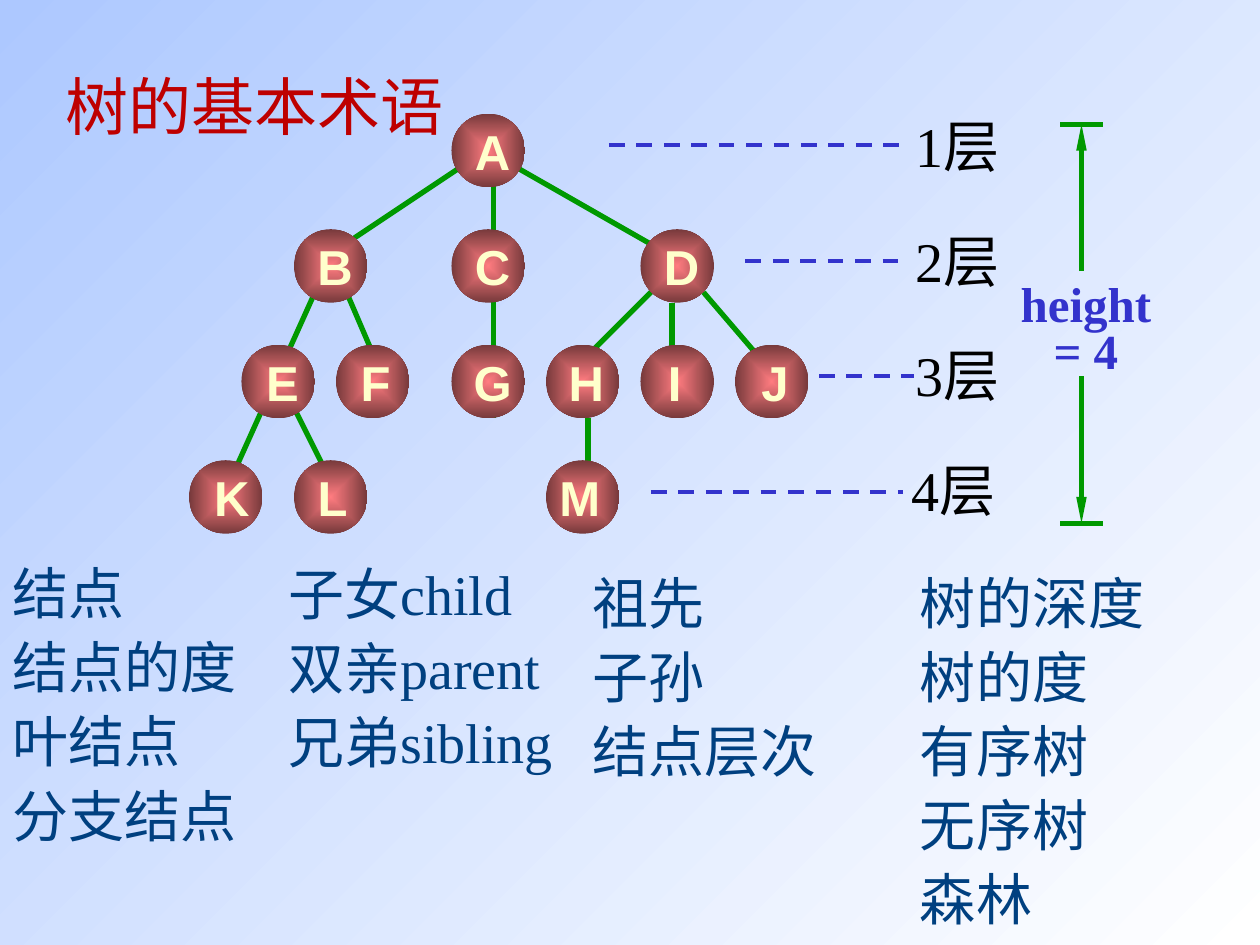
from lxml.etree import SubElement
from pptx import Presentation
from pptx.dml.color import RGBColor
from pptx.enum.dml import MSO_LINE
from pptx.enum.shapes import MSO_CONNECTOR, MSO_SHAPE
from pptx.enum.text import MSO_ANCHOR, MSO_AUTO_SIZE, PP_ALIGN
from pptx.oxml.ns import qn
from pptx.util import Pt

COLORS = {
    "sky": "ADC8FF", "white": "FFFFFF", "title": "BE0000", "edge": "009900",
    "level": "3333CC", "node": "FF7C80", "node_rim": "76393B",
    "letter": "FFFFCC", "black": "000000", "term": "004080",
}
SERIF, SANS, CHINESE = "Times New Roman", "Arial", "Noto Sans CJK SC"

NODE_SIZE, FIRST_ROW, ROW_STEP = 42, 65, 66
# Each row: letter, left of the node, left and width of its letter
NODE_ROWS = [
    [("A", 258, 264, 35)],
    [("B", 168, 174, 35), ("C", 258, 264, 35), ("D", 366, 372, 35)],
    [("E", 138, 145, 33), ("F", 192, 199, 31), ("G", 258, 263.5, 36),
     ("H", 312, 317.5, 35), ("I", 366, 374.5, 22), ("J", 420, 428, 29)],
    [("K", 108, 115, 35), ("L", 168, 174, 32), ("M", 312, 312.5, 37)],
]
EDGES = [
    (402, 167, 438, 209), (372, 167, 336, 203), (384, 173, 384, 203),
    (336, 239, 336, 275), (294, 95, 378, 143), (264, 95, 192, 143),
    (282, 101, 282, 239), (198, 167, 216, 209), (168, 233, 186, 269),
    (180, 167, 126, 287),
]
# Dash start, dash end, left of the label
LEVELS = [(348, 516, 512), (426, 516, 512), (468, 522, 512), (372, 516, 510)]
TERMS = [
    ((0, 315.5, 205, 168), ["结点", "结点的度", "叶结点", "分支结点"]),
    ((157.5, 316, 177, 172), ["子女child", "双亲parent", "兄弟sibling"]),
    ((331.5, 321, 180, 139), ["祖先", "子孙", "结点层次"]),
    ((518.5, 321, 174, 138),
     [[("树的深", CHINESE), ("度", SERIF)], "树的度", "有序树", "无序树",
      [("森林", CHINESE)]]),
]


def color(name):
    return RGBColor.from_string(COLORS[name])


def gradient(fill, *names):
    fill.gradient()
    for stop, name in zip(fill.gradient_stops, names):
        stop.color.rgb = color(name)


class SlideBuilder:
    def __init__(self, page):
        self.page = page

    def background(self):
        fill = self.page.background.fill
        gradient(fill, "sky", "white")
        fill.gradient_angle = 315

    def span(self, para, text, size, ink, face=SERIF, bold=False):
        span = para.add_run()
        span.text = text
        font = span.font
        font.size, font.bold, font.name = Pt(size), bold, face
        font.color.rgb = color(ink)

    def place(self, shape, frame):
        shape.left, shape.top, shape.width, shape.height = map(Pt, frame)

    def title(self, text, frame):
        title = self.page.shapes.title
        self.place(title, frame)
        title.text_frame.vertical_anchor = MSO_ANCHOR.MIDDLE
        title.text_frame.auto_size = MSO_AUTO_SIZE.NONE
        para = title.text_frame.paragraphs[0]
        para.alignment = PP_ALIGN.LEFT
        self.span(para, text, 36, "title")

    def terms(self, holder, frame, lines):
        """Fill a body placeholder with unbulleted terms."""
        self.place(holder, frame)
        body = holder.text_frame
        body.vertical_anchor = MSO_ANCHOR.TOP
        body.auto_size = MSO_AUTO_SIZE.NONE
        for index, line in enumerate(lines):
            para = body.add_paragraph() if index else body.paragraphs[0]
            properties = para._p.get_or_add_pPr()
            properties.set("marL", "0")
            properties.set("indent", "0")
            SubElement(properties, qn("a:buNone"))
            para.space_before = Pt(4 if index else 0)
            spans = [(line, SERIF)] if isinstance(line, str) else line
            for text, face in spans:
                self.span(para, text, 32, "term", face)

    def label(self, lines, frame, size, ink, face=SERIF, bold=False, spacing=None):
        box = self.page.shapes.add_textbox(*map(Pt, frame))
        body = box.text_frame
        body.word_wrap = False
        body.auto_size = MSO_AUTO_SIZE.SHAPE_TO_FIT_TEXT
        body.vertical_anchor = MSO_ANCHOR.MIDDLE
        for index, line in enumerate(lines):
            para = body.add_paragraph() if index else body.paragraphs[0]
            para.alignment = PP_ALIGN.CENTER
            para.line_spacing = spacing
            self.span(para, line, size, ink, face, bold)

    def node(self, left, top):
        frame = map(Pt, (left, top, NODE_SIZE, NODE_SIZE))
        node = self.page.shapes.add_shape(MSO_SHAPE.OVAL, *frame)
        node.shadow.inherit = False
        node.line.fill.background()
        gradient(node.fill, "node", "node_rim")
        grad = node._element.spPr.find(qn("a:gradFill"))
        grad.remove(grad.find(qn("a:lin")))
        shade = SubElement(grad, qn("a:path"), path="rect")
        SubElement(shade, qn("a:fillToRect"),
                   {side: "50000" for side in "ltrb"})

    def line(self, ends, ink="edge", width=3, dashed=False, arrow=False):
        line = self.page.shapes.add_connector(
            MSO_CONNECTOR.STRAIGHT, *map(Pt, ends))
        line.line.color.rgb = color(ink)
        line.line.width = Pt(width)
        if dashed:
            line.line.dash_style = MSO_LINE.DASH
        if arrow:
            SubElement(line.line._get_or_add_ln(), qn("a:tailEnd"),
                       type="triangle", w="sm", len="lg")
        SubElement(line._element.spPr, qn("a:effectLst"))


def main():
    deck = Presentation()
    deck.slide_width, deck.slide_height = Pt(720), Pt(540)
    page = deck.slides.add_slide(deck.slide_layouts.get_by_name("Comparison"))
    builder = SlideBuilder(page)
    builder.background()
    builder.title("树的基本术语", (30, 36, 612, 48))
    for index, (frame, lines) in enumerate(TERMS, start=1):
        builder.terms(page.placeholders[index], frame, lines)

    for edge in EDGES:
        builder.line(edge)
    for row, nodes in enumerate(NODE_ROWS):
        top = FIRST_ROW + row * ROW_STEP
        for letter, left, letter_left, letter_width in nodes:
            builder.node(left, top)
            builder.label([letter], (letter_left, top + 0.5, letter_width, 41),
                          28, "letter", SANS, bold=True)

    for index, (start, end, left) in enumerate(LEVELS):
        y = 83 + index * ROW_STEP
        builder.line((start, y, end, y), "level", 2.25, dashed=True)
        builder.label([f"{index + 1}层"], (left, 60 + index * 65.5, 70, 46),
                      32, "black")

    builder.label(["height", "= 4"], (573, 159, 95, 61), 28, "level",
                  bold=True, spacing=0.8)
    for inner, outer in ((155, 71), (215, 299)):
        builder.line((606, outer, 630, outer))
        builder.line((618, inner, 618, outer), arrow=True)
    deck.save("out.pptx")


if __name__ == "__main__":
    main()
